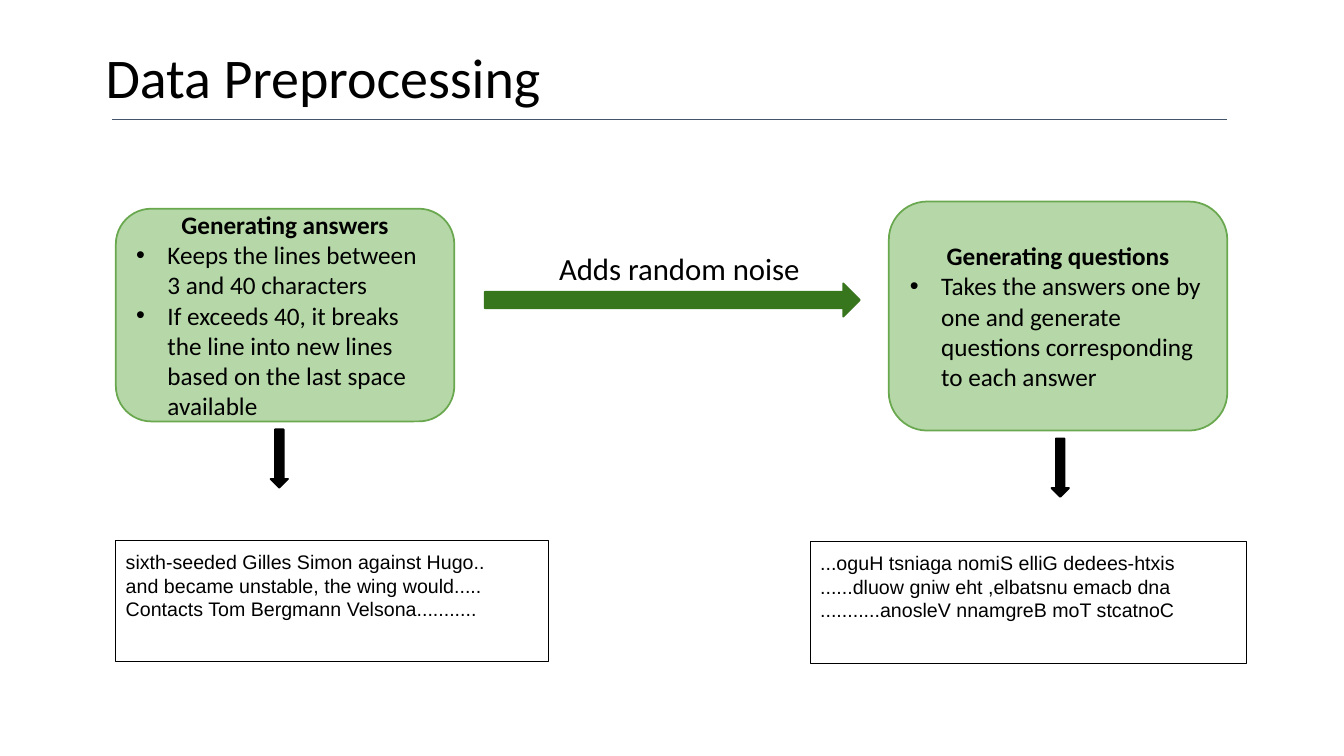
from lxml.etree import SubElement
from pptx import Presentation
from pptx.dml.color import RGBColor
from pptx.enum.shapes import MSO_CONNECTOR as CONN, MSO_SHAPE as SHAPE
from pptx.enum.text import MSO_ANCHOR as ANCHOR, PP_ALIGN as ALIGN
from pptx.oxml.ns import qn
from pptx.util import Cm, Pt

BLACK = RGBColor(0x00, 0x00, 0x00)
SLATE = RGBColor(0x44, 0x54, 0x6A)
PALE_GREEN = RGBColor(0xB6, 0xD7, 0xA8)
MID_GREEN = RGBColor(0x6A, 0xA8, 0x4F)
DARK_GREEN = RGBColor(0x38, 0x76, 0x1D)


def add_box(s, kind, box, fill, line, width):
    """Add a shadowless preset shape; a fill of None leaves it empty."""
    sp = s.shapes.add_shape(kind, *map(Cm, box))
    sp.shadow.inherit = False
    if fill is None:
        sp.fill.background()
    else:
        sp.fill.solid()
        sp.fill.fore_color.rgb = fill
    sp.line.color.rgb = line
    sp.line.width = Pt(width)
    return sp


def set_frame(sp, anchor, pad):
    """Set wrapping, anchor and vertical insets, and return the text frame."""
    tf = sp.text_frame
    tf.word_wrap = True
    tf.vertical_anchor = anchor
    tf.margin_left = tf.margin_right = Cm(0.25)
    tf.margin_top = tf.margin_bottom = Cm(pad)
    return tf


def add_line(tf, text, size, font="Calibri", bold=False, align=ALIGN.LEFT):
    """Write one paragraph, using the frame's first one while it is empty."""
    p = tf.paragraphs[0] if not tf.paragraphs[0].runs else tf.add_paragraph()
    p.alignment = align
    r = p.add_run()
    r.text = text
    r.font.name = font
    r.font.size = Pt(size)
    r.font.bold = bold
    r.font.color.rgb = BLACK
    return p


def add_bullet(p):
    """Give a paragraph a hanging round bullet."""
    pPr = p._p.get_or_add_pPr()
    pPr.set("marL", str(Cm(0.79)))
    pPr.set("indent", str(Cm(-0.86)))
    SubElement(pPr, qn("a:buFont"), typeface="Arial")
    SubElement(pPr, qn("a:buChar"), char="•")


def add_title(s, box, text):
    """Place the slide title and the thin rule below it."""
    x, y, w, h = box
    tf = set_frame(s.shapes.add_textbox(*map(Cm, box)), ANCHOR.BOTTOM, 0.13)
    add_line(tf, text, 40).line_spacing = 0.85
    rule_y = Cm(y + h + 0.1)
    rule = s.shapes.add_connector(
        CONN.STRAIGHT, Cm(x + 0.41), rule_y, Cm(x + w + 0.56), rule_y)
    rule.line.color.rgb = SLATE
    rule.line.width = Pt(0.75)
    SubElement(rule._element.spPr, qn("a:effectLst"))


def add_stage(s, box, heading, bullets, arrow_dx):
    """Place a rounded stage box and the down arrow leaving it."""
    x, y, w, h = box
    sp = add_box(s, SHAPE.ROUNDED_RECTANGLE, box, PALE_GREEN, MID_GREEN, 1.25)
    tf = set_frame(sp, ANCHOR.MIDDLE, 0.13)
    add_line(tf, heading, 18, bold=True, align=ALIGN.CENTER)
    for text in bullets:
        add_bullet(add_line(tf, text, 18))
    arrow = (x + arrow_dx - 0.22, y + h + 0.2, 0.44, 1.47)
    add_box(s, SHAPE.DOWN_ARROW, arrow, BLACK, BLACK, 1.25)


def add_noise_arrow(s, box, label):
    """Place the wide arrow between the stages with its label above."""
    x, y, w, h = box
    add_box(s, SHAPE.RIGHT_ARROW, box, DARK_GREEN, DARK_GREEN, 1.25)
    tb = s.shapes.add_textbox(Cm(x + 1.62), Cm(y - 1.09), Cm(7.09), Cm(1.07))
    add_line(set_frame(tb, ANCHOR.TOP, 0.25), label, 22)


def add_sample(s, box, lines):
    """Place an outlined box of sample text."""
    sp = add_box(s, SHAPE.RECTANGLE, box, None, BLACK, 0.75)
    tf = set_frame(sp, ANCHOR.TOP, 0.25)
    for text in lines:
        add_line(tf, text, 14, font="Arial")


def main():
    """Build and save the slide."""
    prs = Presentation()
    prs.slide_width, prs.slide_height = Cm(33.87), Cm(19.05)
    s = prs.slides.add_slide(prs.slide_layouts[6])
    add_title(s, (2.41, 0.79, 27.94, 2.11), "Data Preprocessing")
    add_stage(s, (2.92, 5.26, 8.53, 5.36), "Generating answers", [
        "Keeps the lines between 3 and 40 characters",
        "If exceeds 40, it breaks the line into new lines based on the "
        "last space available",
    ], 4.12)
    add_stage(s, (22.4, 5.08, 8.53, 5.77), "Generating questions", [
        "Takes the answers one by one and generate questions "
        "corresponding to each answer",
    ], 4.32)
    add_noise_arrow(s, (12.22, 7.14, 9.45, 0.84), "Adds random noise")
    add_sample(s, (2.92, 13.61, 10.9, 3.07), [
        "sixth-seeded Gilles Simon against Hugo..",
        "and became unstable, the wing would.....",
        "Contacts Tom Bergmann Velsona...........",
    ])
    add_sample(s, (20.42, 13.64, 11, 3.07), [
        "...oguH tsniaga nomiS elliG dedees-htxis",
        "......dluow gniw eht ,elbatsnu emacb dna",
        "...........anosleV nnamgreB moT stcatnoC",
    ])
    prs.save("out.pptx")


if __name__ == "__main__":
    main()
